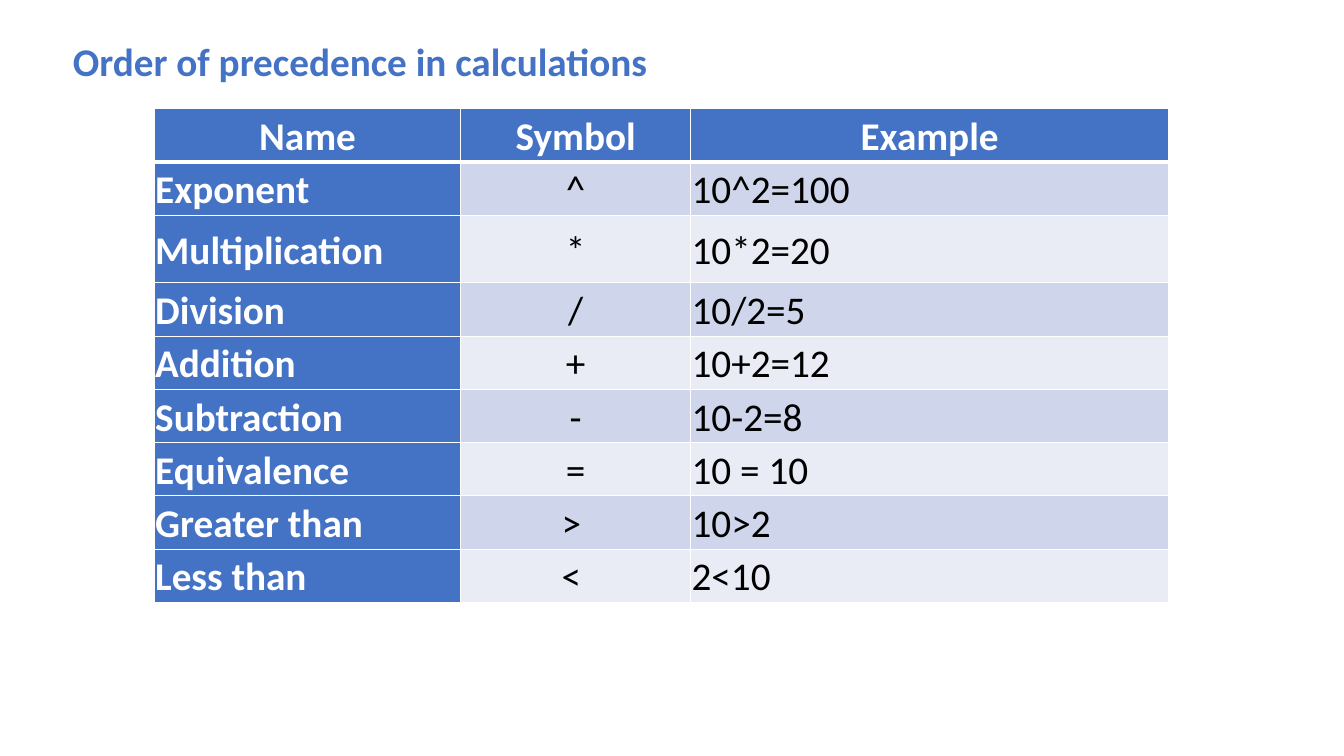
"""Build a slide with a table of operator precedence."""
from lxml import etree
from pptx import Presentation
from pptx.dml.color import RGBColor
from pptx.enum.text import MSO_ANCHOR, PP_ALIGN
from pptx.oxml.ns import qn
from pptx.util import Inches, Pt

LEFT, CENTER = PP_ALIGN.LEFT, PP_ALIGN.CENTER
MIDDLE = MSO_ANCHOR.MIDDLE
BLUE = RGBColor(0x44, 0x72, 0xC4)
DARK_BAND = RGBColor(0xCF, 0xD5, 0xEA)
LIGHT_BAND = RGBColor(0xE9, 0xEB, 0xF5)
WHITE = RGBColor(0xFF, 0xFF, 0xFF)
BLACK = RGBColor(0x00, 0x00, 0x00)

COLUMN_WIDTHS = [3.04, 2.28, 4.74]
ROW_HEIGHT = 0.52
TALL_ROW, TALL_HEIGHT = 2, 0.67
OPERATORS = [
    ("Name", "Symbol", "Example"),
    ("Exponent ", "^", "10^2=100"),
    ("Multiplication", "*", "10*2=20"),
    ("Division", "/", "10/2=5"),
    ("Addition", "+", "10+2=12"),
    ("Subtraction", "-", "10-2=8"),
    ("Equivalence", "=", "10 = 10"),
    ("Greater than", "> ", "10>2"),
    ("Less than", "< ", "2<10"),
]


class SlideBuilder:
    """Hold the text style and the slide being filled."""

    def __init__(self, slide, font="Calibri", size=28):
        self.slide = slide
        self.font = font
        self.size = size

    def add_text(self, paragraph, text, color, bold, alignment):
        """Add one styled run to a paragraph."""
        paragraph.alignment = alignment
        run = paragraph.add_run()
        run.text = text
        run.font.name = self.font
        run.font.size = Pt(self.size)
        run.font.bold = bold
        run.font.color.rgb = color

    def title(self, text, left, top, width, height):
        """Add the slide heading."""
        box = self.slide.shapes.add_textbox(
            Inches(left), Inches(top), Inches(width), Inches(height))
        box.text_frame.word_wrap = False
        self.add_text(box.text_frame.paragraphs[0], text, BLUE, True, CENTER)

    def border(self, cell, side, width):
        """Draw one white edge of a cell."""
        properties = cell._tc.get_or_add_tcPr()
        line = etree.SubElement(properties, qn(f"a:ln{side}"), w=str(Pt(width)))
        fill = etree.SubElement(line, qn("a:solidFill"))
        etree.SubElement(fill, qn("a:srgbClr"), val=str(WHITE))

    def cell(self, cell, text, row, column):
        """Style and fill one table cell by its place."""
        heading = row == 0 or column == 0
        cell.margin_left = cell.margin_right = Inches(0.01)
        cell.margin_top = cell.margin_bottom = Inches(0.01)
        cell.vertical_anchor = MIDDLE
        thick_side = {0: "B", 1: "T"}.get(row)
        for side in "LRTB":
            self.border(cell, side, 3 if side == thick_side else 1)
        cell.fill.solid()
        band = DARK_BAND if row % 2 else LIGHT_BAND
        cell.fill.fore_color.rgb = BLUE if heading else band
        paragraph = cell.text_frame.paragraphs[0]
        paragraph.line_spacing = 1.07
        paragraph.space_after = Pt(8)
        alignment = CENTER if row == 0 or column == 1 else LEFT
        self.add_text(paragraph, text, WHITE if heading else BLACK, heading, alignment)

    def table(self, rows, left, top):
        """Add the table with its header row and column."""
        heights = [TALL_HEIGHT if row == TALL_ROW else ROW_HEIGHT
                   for row in range(len(rows))]
        table = self.slide.shapes.add_table(
            len(rows), len(COLUMN_WIDTHS), Inches(left), Inches(top),
            Inches(sum(COLUMN_WIDTHS)), Inches(sum(heights))).table
        table.first_col = True
        for column, width in zip(table.columns, COLUMN_WIDTHS):
            column.width = Inches(width)
        for row, texts in enumerate(rows):
            table.rows[row].height = Inches(heights[row])
            for column, text in enumerate(texts):
                self.cell(table.cell(row, column), text, row, column)


def main():
    """Create and save the presentation."""
    presentation = Presentation()
    presentation.slide_width = Inches(13.33)
    presentation.slide_height = Inches(7.5)
    slide = presentation.slides.add_slide(presentation.slide_layouts[6])
    builder = SlideBuilder(slide)
    builder.table(OPERATORS, 1.53, 1.08)
    builder.title("Order of precedence in calculations", 0.59, 0.32, 5.96, 0.57)
    presentation.save("out.pptx")


if __name__ == "__main__":
    main()
